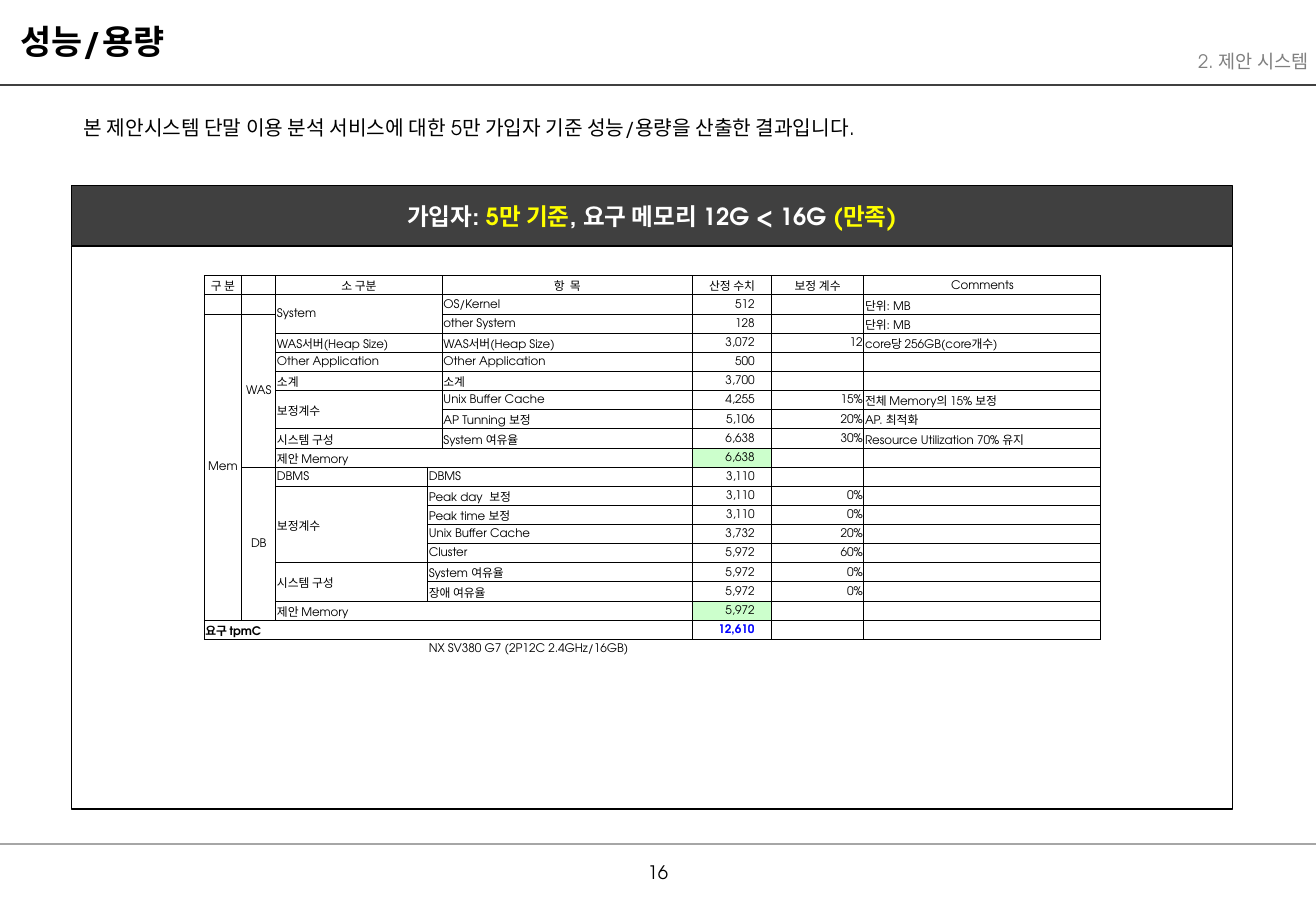
from dataclasses import dataclass

from lxml.etree import SubElement
from pptx import Presentation
from pptx.dml.color import RGBColor
from pptx.enum.shapes import MSO_CONNECTOR, MSO_SHAPE
from pptx.enum.text import MSO_ANCHOR, MSO_AUTO_SIZE, PP_ALIGN
from pptx.oxml.ns import qn
from pptx.util import Inches, Length, Pt

FONT = "TeX Gyre Adventor"
BLACK = RGBColor(0x00, 0x00, 0x00)
WHITE = RGBColor(0xFF, 0xFF, 0xFF)
YELLOW = RGBColor(0xFF, 0xFF, 0x00)
BLUE = RGBColor(0x00, 0x00, 0xFF)
GREEN = RGBColor(0xCC, 0xFF, 0xCC)
DARK = RGBColor(0x40, 0x40, 0x40)
GRAY = RGBColor(0x80, 0x80, 0x80)
SILVER = RGBColor(0xA6, 0xA6, 0xA6)
WIDTH, HEIGHT = Inches(10.83), Inches(7.5)


@dataclass
class Area:
    """A rectangle in percent of the slide's width and height."""

    left: float
    top: float
    width: float
    height: float

    def emu(self) -> tuple[Length, ...]:
        """Return left, top, width and height as lengths."""
        return across(self.left), down(self.top), across(self.width), down(self.height)


@dataclass
class Span:
    """A stretch of text in one colour."""

    text: str
    color: RGBColor = BLACK


@dataclass
class Rule:
    """A full-width horizontal line."""

    top: float
    color: RGBColor
    weight: float


@dataclass
class Merge:
    """A block of merged table cells."""

    row: int
    column: int
    rows: int
    columns: int


RULES = [Rule(9.33, DARK, 1.5), Rule(92.67, SILVER, 1)]
HEADLINE = [Span("가입자: ", WHITE), Span("5만 기준", YELLOW),
            Span(", 요구 메모리 12G < 16G ", WHITE), Span("(만족)", YELLOW)]
COLUMNS = [2.86, 2.59, 11.54, 1.11, 19.02, 6, 7.02, 18.01]
VALUE, FACTOR = 5, 6
ROW_HEIGHT = 2.1
ROWS = [
    ("구 분", "", "소 구분", "", "항  목", "산정 수치", "보정 계수", "Comments"),
    ("", "", "System", "", "OS/Kernel", "512", "", "단위: MB"),
    ("Mem", "WAS", "", "", "other System", "128", "", "단위: MB"),
    ("", "", "WAS서버(Heap Size)", "", "WAS서버(Heap Size)", "3,072", "12", "core당 256GB(core개수)"),
    ("", "", "Other Application", "", "Other Application", "500", "", ""),
    ("", "", "소계", "", "소계", "3,700", "", ""),
    ("", "", "보정계수", "", "Unix Buffer Cache", "4,255", "15%", "전체 Memory의 15% 보정"),
    ("", "", "", "", "AP Tunning 보정", "5,106", "20%", "AP. 최적화"),
    ("", "", "시스템 구성", "", "System 여유율", "6,638", "30%", "Resource Utilization 70% 유지"),
    ("", "", "제안 Memory", "", "", "6,638", "", ""),
    ("", "DB", "DBMS", "DBMS", "", "3,110", "", ""),
    ("", "", "보정계수", "Peak day  보정", "", "3,110", "0%", ""),
    ("", "", "", "Peak time 보정", "", "3,110", "0%", ""),
    ("", "", "", "Unix Buffer Cache", "", "3,732", "20%", ""),
    ("", "", "", "Cluster", "", "5,972", "60%", ""),
    ("", "", "시스템 구성", "System 여유율", "", "5,972", "0%", ""),
    ("", "", "", "장애 여유율", "", "5,972", "0%", ""),
    ("", "", "제안 Memory", "", "", "5,972", "", ""),
    ("요구 tpmC", "", "", "", "", "12,610", "", ""),
    ("", "", "", "NX SV380 G7 (2P12C 2.4GHz/16GB)", "", "", "", ""),
]
NOTE_ROW = len(ROWS) - 1
TOTAL_ROW = NOTE_ROW - 1
PROPOSAL_ROWS = [9, 17]
MERGES = [
    Merge(2, 0, 16, 1), Merge(2, 1, 8, 1), Merge(10, 1, 8, 1),
    Merge(1, 2, 2, 2), Merge(6, 2, 2, 2), Merge(11, 2, 4, 1), Merge(15, 2, 2, 1),
    *[Merge(row, 2, 1, 2) for row in (0, 3, 4, 5, 8)],
    *[Merge(row, 2, 1, 3) for row in PROPOSAL_ROWS],
    *[Merge(row, 3, 1, 2) for row in range(10, 17)],
    Merge(TOTAL_ROW, 0, 1, 5), Merge(NOTE_ROW, 3, 1, 3),
]


def across(percent: float) -> Length:
    """Return a share of the slide's width."""
    return Length(round(WIDTH * percent / 100))


def down(percent: float) -> Length:
    """Return a share of the slide's height."""
    return Length(round(HEIGHT * percent / 100))


def write(frame, spans: list[Span], size: float, align=PP_ALIGN.LEFT, bold: bool = False):
    """Fill a text frame with one formatted paragraph and return it."""
    frame.word_wrap = True
    para = frame.paragraphs[0]
    para.alignment = align
    for span in spans:
        run = para.add_run()
        run.text = span.text
        run.font.name, run.font.size, run.font.bold = FONT, Pt(size), bold
        run.font.color.rgb = span.color
    return para


def fit_heading(frame, para) -> None:
    """Give a heading its insets, top anchor and spacing."""
    frame.margin_left = frame.margin_right = Inches(0.06)
    frame.margin_top = frame.margin_bottom = Inches(0.05)
    frame.vertical_anchor = MSO_ANCHOR.TOP
    frame.auto_size = MSO_AUTO_SIZE.SHAPE_TO_FIT_TEXT
    para.space_before = Pt(6)


def add_text(page, area: Area, text: str, size: float, color=BLACK, align=PP_ALIGN.LEFT):
    """Add a text box and return its frame and paragraph."""
    frame = page.shapes.add_textbox(*area.emu()).text_frame
    return frame, write(frame, [Span(text, color)], size, align)


def add_panel(page, area: Area, fill: RGBColor | None = None):
    """Add a thinly outlined rectangle."""
    box = page.shapes.add_shape(MSO_SHAPE.RECTANGLE, *area.emu())
    box.shadow.inherit = False
    box.line.color.rgb, box.line.width = BLACK, Pt(0.75)
    if fill is None:
        box.fill.background()
    else:
        box.fill.solid()
        box.fill.fore_color.rgb = fill
    return box


def add_rule(page, rule: Rule) -> None:
    """Draw a line across the slide."""
    line = page.shapes.add_connector(MSO_CONNECTOR.STRAIGHT, 0, down(rule.top), WIDTH, down(rule.top))
    line.line.color.rgb, line.line.width = rule.color, Pt(rule.weight)
    SubElement(line._element.spPr, qn("a:effectLst"))


def set_borders(cell, row: int) -> None:
    """Draw every edge of a cell, but only the top edge in the note row."""
    properties = cell._tc.get_or_add_tcPr()
    for edge in ("lnL", "lnR", "lnT", "lnB"):
        line = SubElement(properties, qn(f"a:{edge}"), w=str(Pt(0.5)))
        if row == NOTE_ROW and edge != "lnT":
            SubElement(line, qn("a:noFill"))
        else:
            SubElement(SubElement(line, qn("a:solidFill")), qn("a:srgbClr"), val=str(BLACK))


def cell_align(row: int, column: int):
    """Return the alignment that a cell's place calls for."""
    if row == 0 or (column < 2 and row != TOTAL_ROW):
        return PP_ALIGN.CENTER
    return PP_ALIGN.RIGHT if column in (VALUE, FACTOR) else PP_ALIGN.LEFT


def fill_cell(cell, row: int, column: int, text: str) -> None:
    """Write and format one table cell."""
    cell.margin_left = cell.margin_right = cell.margin_top = Inches(0.01)
    cell.margin_bottom = 0
    cell.vertical_anchor = MSO_ANCHOR.MIDDLE
    if column == VALUE and row > 0:
        cell.margin_right = Inches(0.14)
    set_borders(cell, row)
    if column == VALUE and row in PROPOSAL_ROWS:
        cell.fill.solid()
        cell.fill.fore_color.rgb = GREEN
    else:
        cell.fill.background()
    color = BLUE if (row, column) == (TOTAL_ROW, VALUE) else BLACK
    spans = [Span(text, color)] if text else []
    para = write(cell.text_frame, spans, 7, cell_align(row, column), row == TOTAL_ROW)
    SubElement(para._p, qn("a:endParaRPr"), sz="700")


def add_capacity_table(page) -> None:
    """Add the memory sizing table."""
    area = Area(15.51, 30.27, sum(COLUMNS), ROW_HEIGHT * len(ROWS))
    table = page.shapes.add_table(len(ROWS), len(COLUMNS), *area.emu()).table
    table.first_row = table.horz_banding = False
    for column, share in enumerate(COLUMNS):
        table.columns[column].width = across(share)
    for row, texts in enumerate(ROWS):
        table.rows[row].height = down(ROW_HEIGHT)
        for column, text in enumerate(texts):
            fill_cell(table.cell(row, column), row, column, text)
    for block in MERGES:
        end = table.cell(block.row + block.rows - 1, block.column + block.columns - 1)
        table.cell(block.row, block.column).merge(end)


def main() -> None:
    """Build and save the slide."""
    deck = Presentation()
    deck.slide_width, deck.slide_height = WIDTH, HEIGHT
    page = deck.slides.add_slide(deck.slide_layouts[5])
    title = page.shapes.title
    title.left, title.top, title.width, title.height = Area(1.02, 1.6, 54.02, 5.87).emu()
    fit_heading(title.text_frame, write(title.text_frame, [Span("성능/용량")], 20, bold=True))
    for rule in RULES:
        add_rule(page, rule)
    number, _ = add_text(page, Area(0, 93.87, 100, 3.2), "16", 11, align=PP_ALIGN.CENTER)
    number.vertical_anchor = MSO_ANCHOR.TOP
    add_panel(page, Area(5.45, 27.07, 88.18, 60.8 + 0.93))
    banner = add_panel(page, Area(5.45, 20.4, 88.18, 6.53), DARK)
    banner.text_frame.vertical_anchor = MSO_ANCHOR.MIDDLE
    write(banner.text_frame, HEADLINE, 14, PP_ALIGN.CENTER, True)
    fit_heading(*add_text(page, Area(63.62, 4.8, 36.38, 3.87), "2. 제안 시스템", 11, GRAY, PP_ALIGN.RIGHT))
    add_capacity_table(page)
    _, intro = add_text(page, Area(5.45, 10.67, 88.18, 9.87),
                        "본 제안시스템 단말 이용 분석 서비스에 대한 5만 가입자 기준 성능/용량을 산출한 결과입니다.", 12)
    intro.line_spacing = 1.5
    deck.save("out.pptx")


if __name__ == "__main__":
    main()
